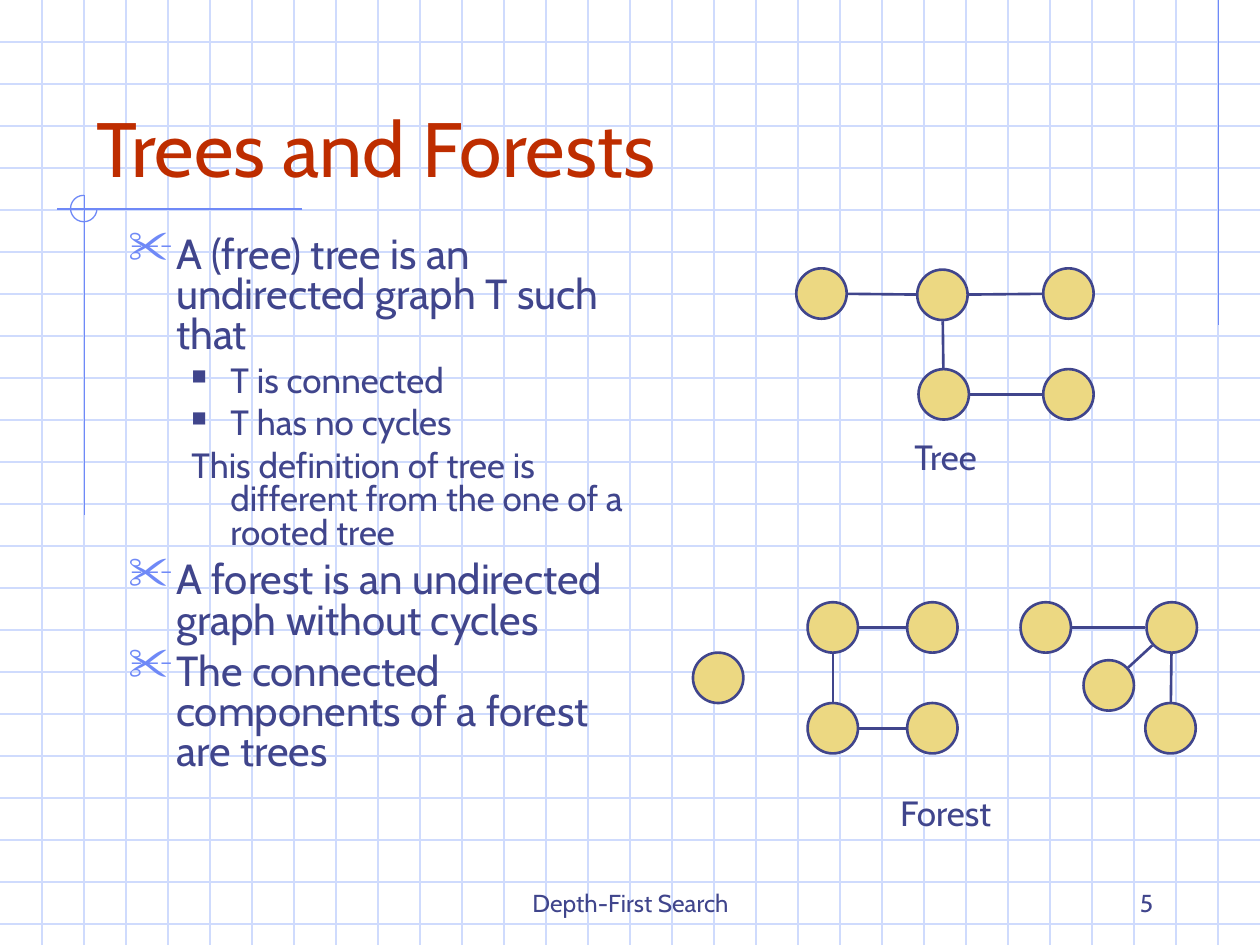
import math

from lxml import etree
from pptx import Presentation
from pptx.dml.color import RGBColor
from pptx.enum.shapes import MSO_CONNECTOR, MSO_SHAPE
from pptx.enum.text import MSO_ANCHOR, PP_ALIGN
from pptx.oxml.ns import qn
from pptx.util import Inches, Pt

STRAIGHT = MSO_CONNECTOR.STRAIGHT
OVAL, ARC = MSO_SHAPE.OVAL, MSO_SHAPE.ARC
TOP, BOTTOM = MSO_ANCHOR.TOP, MSO_ANCHOR.BOTTOM
LEFT, CENTER, RIGHT = PP_ALIGN.LEFT, PP_ALIGN.CENTER, PP_ALIGN.RIGHT

GRID_BLUE = RGBColor(0xCF, 0xDB, 0xFD)
ACCENT_BLUE = RGBColor(0x6F, 0x89, 0xF7)
INK = RGBColor(0x40, 0x45, 0x8C)
TITLE_RED = RGBColor(0xBE, 0x2D, 0x00)
NODE_YELLOW = RGBColor(0xEC, 0xD8, 0x82)

FONT = "Cabin"
WIDTH, HEIGHT = 10, 7.5
CELLS_PER_INCH = 3
NODE_SIZE = 0.4
EDGE_GAP = 0.21

SCISSORS = {"size": 24, "before": 6, "spacing": 0.8, "margin": 0.38, "indent": -0.38,
            "bullet": "✂", "bullet_color": ACCENT_BLUE, "bullet_percent": 110}
PLAIN = {"size": 20, "before": 5, "spacing": 0.8, "margin": 0.81, "indent": -0.31, "level": 1}
SQUARE = {**PLAIN, "bullet": "■", "bullet_color": INK, "bullet_percent": 60}

DEFINITIONS = [
    ("A (free) tree is an undirected graph T such that", SCISSORS),
    ("T is connected", SQUARE),
    ("T has no cycles", SQUARE),
    ("This definition of tree is different from the one of a rooted tree", PLAIN),
    ("A forest is an undirected graph without cycles", SCISSORS),
    ("The connected components of a forest are trees", SCISSORS),
]

TREE_NODES = [(0, 0), (0.96, 0.01), (1.96, 0), (0.97, 0.8), (1.96, 0.8)]
TREE_EDGES = [(0, 1), (1, 2), (1, 3), (3, 4)]
FOREST_NODES = [(0, 0.4), (0.91, 0), (1.7, 0), (0.91, 0.8), (1.7, 0.8),
                (2.6, 0), (3.6, 0), (3.1, 0.46), (3.59, 0.8)]
FOREST_EDGES = [(1, 2), (1, 3), (3, 4), (5, 6), (6, 7), (6, 8)]


def add_line(slide, start, end, color, width=0.75):
    line = slide.shapes.add_connector(STRAIGHT, *(Inches(v) for v in (*start, *end)))
    line.line.color.rgb = color
    line.line.width = Pt(width)
    etree.SubElement(line._element.spPr, qn("a:effectLst"))


def add_outline(slide, preset, box, color, width):
    outline = slide.shapes.add_shape(preset, *(Inches(v) for v in box))
    outline.shadow.inherit = False
    outline.line.color.rgb = color
    outline.line.width = Pt(width)
    return outline


def add_frame(slide, box, anchor=TOP):
    frame = slide.shapes.add_textbox(*(Inches(v) for v in box)).text_frame
    frame.word_wrap = True
    frame.vertical_anchor = anchor
    return frame


def write(frame, text, size=20, color=INK, align=LEFT, before=0, spacing=1.0, level=0,
          margin=0, indent=0, bullet=None, bullet_color=INK, bullet_percent=100):
    paragraph = frame.add_paragraph() if frame.text else frame.paragraphs[0]
    paragraph.alignment = align
    paragraph.level = level
    paragraph.space_before = Pt(before)
    paragraph.line_spacing = spacing
    run = paragraph.add_run()
    run.text = text
    run.font.name = FONT
    run.font.size = Pt(size)
    run.font.color.rgb = color
    properties = paragraph._p.get_or_add_pPr()
    properties.set("marL", str(Inches(margin)))
    properties.set("indent", str(Inches(indent)))
    if bullet:
        tint = etree.SubElement(properties, qn("a:buClr"))
        etree.SubElement(tint, qn("a:srgbClr"), val=str(bullet_color))
        etree.SubElement(properties, qn("a:buSzPct"), val=str(bullet_percent * 1000))
        etree.SubElement(properties, qn("a:buChar"), char=bullet)
    else:
        etree.SubElement(properties, qn("a:buNone"))


def draw_grid(slide, width, height):
    for row in range(1, math.ceil(height * CELLS_PER_INCH)):
        y = row / CELLS_PER_INCH
        add_line(slide, (0, y), (width, y), GRID_BLUE)
    for column in range(1, math.ceil(width * CELLS_PER_INCH)):
        x = column / CELLS_PER_INCH
        add_line(slide, (x, 0), (x, height), GRID_BLUE)


def draw_accents(slide, left, top):
    add_line(slide, (9.67, 0), (9.67, 2.58), ACCENT_BLUE)
    add_line(slide, (left + 1.95, top), (left, top), ACCENT_BLUE)
    add_line(slide, (left + 0.22, top - 0.11), (left + 0.22, top + 2.43), ACCENT_BLUE)
    box = (left + 0.11, top - 0.11, 0.21, 0.21)
    ring = add_outline(slide, ARC, box, ACCENT_BLUE, 0.75)
    ring.fill.background()
    ring.adjustments[0] = 0
    ring.adjustments[1] = 270 * 0.6


def draw_title(slide, box):
    write(add_frame(slide, box, BOTTOM), "Trees and Forests", size=44, color=TITLE_RED)


def draw_definitions(slide, box):
    frame = add_frame(slide, box)
    for text, style in DEFINITIONS:
        write(frame, text, **style)


def draw_graph(slide, left, top, nodes, edges):
    corners = [(left + x, top + y) for x, y in nodes]
    centers = [(x + NODE_SIZE / 2, y + NODE_SIZE / 2) for x, y in corners]
    for corner in corners:
        node = add_outline(slide, OVAL, (*corner, NODE_SIZE, NODE_SIZE), INK, 1.5)
        node.fill.solid()
        node.fill.fore_color.rgb = NODE_YELLOW
    for first, second in edges:
        (x1, y1), (x2, y2) = centers[first], centers[second]
        share = EDGE_GAP / math.dist(centers[first], centers[second])
        dx, dy = (x2 - x1) * share, (y2 - y1) * share
        add_line(slide, (x1 + dx, y1 + dy), (x2 - dx, y2 - dy), INK, 1.5)


def draw_caption(slide, box, text):
    write(add_frame(slide, box), text, align=CENTER)


def draw_footer(slide, top, height):
    topic = add_frame(slide, (3.42, top, 3.17, height), BOTTOM)
    write(topic, "Depth-First Search", size=14, align=CENTER)
    number = add_frame(slide, (7.17, top, 2.08, height), BOTTOM)
    write(number, "5", size=14, align=RIGHT)


def main():
    deck = Presentation()
    deck.slide_width, deck.slide_height = Inches(WIDTH), Inches(HEIGHT)
    slide = deck.slides.add_slide(deck.slide_layouts[6])
    draw_grid(slide, WIDTH, HEIGHT)
    draw_accents(slide, 0.45, 1.66)
    draw_footer(slide, 6.83, 0.5)
    draw_title(slide, (0.67, 0.33, 8.5, 1.25))
    draw_definitions(slide, (0.92, 1.83, 4.25, 4.92))
    draw_caption(slide, (5.94, 3.41, 3.13, 0.44), "Tree")
    draw_caption(slide, (5.51, 6.23, 3.99, 0.44), "Forest")
    draw_graph(slide, 6.32, 2.13, TREE_NODES, TREE_EDGES)
    draw_graph(slide, 5.5, 4.78, FOREST_NODES, FOREST_EDGES)
    deck.save("out.pptx")


if __name__ == "__main__":
    main()
